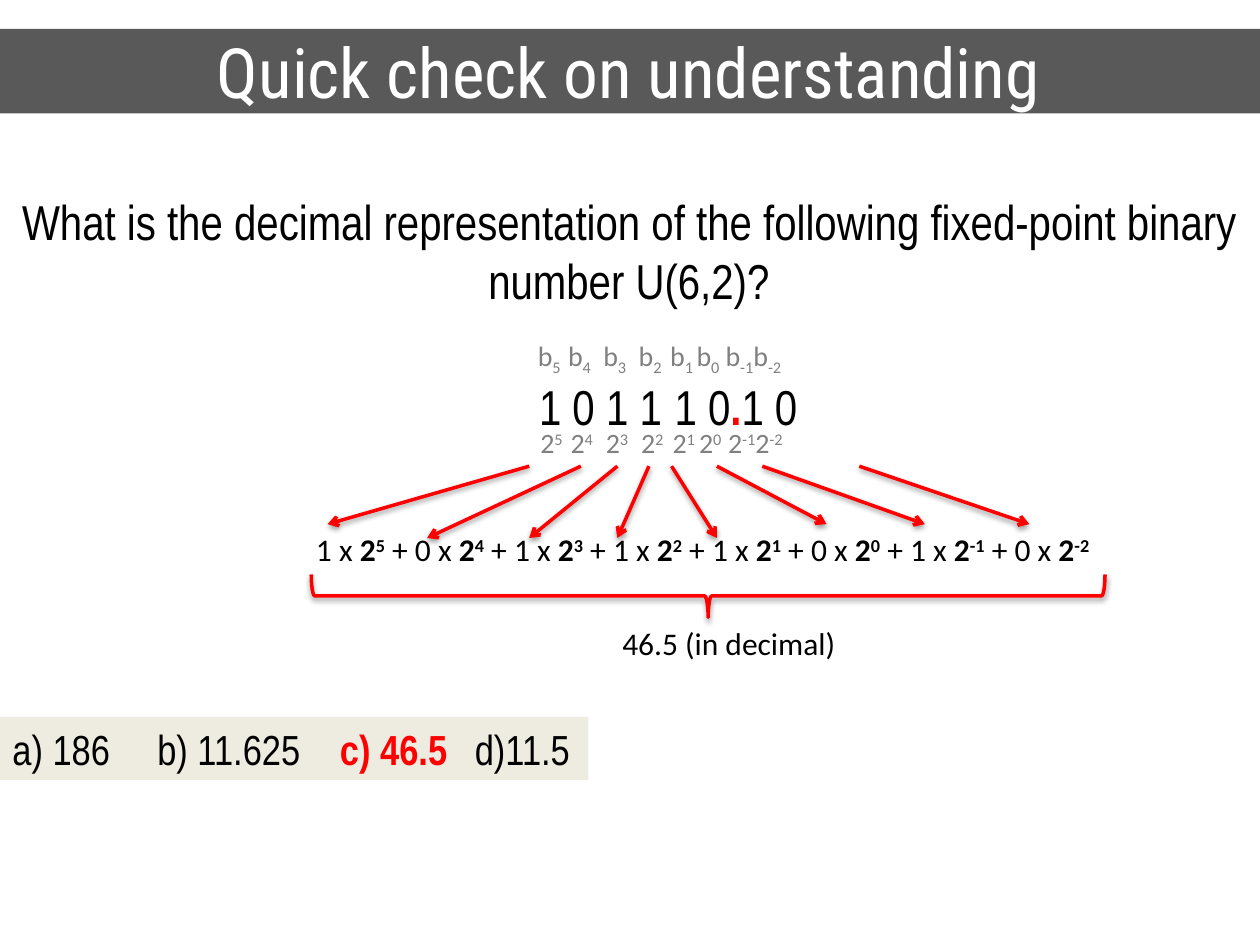
import pptx
import pptx.util
import pptx.dml.color
import pptx.enum.shapes
import pptx.enum.text
from dataclasses import dataclass
from lxml import etree
from pptx.oxml.ns import qn
from pptx.util import Inches

ALIGN = pptx.enum.text.PP_ALIGN


@dataclass(frozen=True)
class Theme:
    bar: str = "595959"
    panel: str = "EEECE1"
    white: str = "FFFFFF"
    ink: str = "000000"
    muted: str = "808080"
    accent: str = "FF0000"
    title_font: str = "Roboto Condensed"
    question_font: str = "Arial Narrow"
    working_font: str = "Calibri"
    title_size: float = 39.6
    gap_size: float = 32
    question_size: float = 28
    answer_size: float = 24
    working_size: float = 18
    label_size: float = 16
    line_width: float = 2


THEME = Theme()
EXPONENTS = range(5, -3, -1)
BITS = "10111010"
LABEL_TABS = (0.24, 0.52, 0.80, 1.05, 1.26, 1.49)
ANSWER_TABS = (1.15, 2.60, 3.67)


def rgb(value):
    return pptx.dml.color.RGBColor.from_string(value)


def add_run(paragraph, text, font, size, color, bold=False, baseline=0):
    run = paragraph.add_run()
    run.text = text
    run.font.name = font
    run.font.size = pptx.util.Pt(size)
    run.font.color.rgb = rgb(color)
    run.font.bold = bold
    if baseline:
        run.font._element.set("baseline", str(baseline * 1000))


def add_text_box(slide, box, wrap=True):
    text_box = slide.shapes.add_textbox(*map(Inches, box))
    text_box.text_frame.word_wrap = wrap
    return text_box.text_frame.paragraphs[0]


def add_panel(slide, box, fill):
    panel = slide.shapes.add_shape(
        pptx.enum.shapes.MSO_SHAPE.RECTANGLE, *map(Inches, box))
    panel.shadow.inherit = False
    panel.fill.solid()
    panel.fill.fore_color.rgb = rgb(fill)
    panel.line.fill.background()
    panel.text_frame.vertical_anchor = pptx.enum.text.MSO_ANCHOR.MIDDLE
    return panel.text_frame.paragraphs[0]


def set_tabs(paragraph, positions):
    properties = paragraph._p.get_or_add_pPr()
    tab_list = etree.SubElement(properties, qn("a:tabLst"))
    for position in positions:
        etree.SubElement(tab_list, qn("a:tab"), pos=str(Inches(position)), algn="l")


def style_red_line(shape):
    """Red stroke with a soft shadow below it."""
    shape.line.color.rgb = rgb(THEME.accent)
    shape.line.width = pptx.util.Pt(THEME.line_width)
    effects = etree.SubElement(shape._element.spPr, qn("a:effectLst"))
    shadow = etree.SubElement(effects, qn("a:outerShdw"), blurRad="40000",
                              dist="20000", dir="5400000", rotWithShape="0")
    color = etree.SubElement(shadow, qn("a:srgbClr"), val=THEME.ink)
    etree.SubElement(color, qn("a:alpha"), val="38000")


def add_title(slide, box):
    paragraph = add_panel(slide, box, THEME.bar)
    paragraph.alignment = ALIGN.CENTER
    add_run(paragraph, "Quick check on understanding",
            THEME.title_font, THEME.title_size, THEME.white)


def add_question(slide, box):
    paragraph = add_text_box(slide, box)
    paragraph.alignment = ALIGN.CENTER
    add_run(paragraph, "What is the decimal representation of the following "
            "fixed-point binary number U(6,2)?",
            THEME.question_font, THEME.question_size, THEME.ink)


def add_bit_labels(slide, box, symbol, baseline):
    """One symbol per bit, with its position as subscript or superscript."""
    paragraph = add_text_box(slide, box)
    set_tabs(paragraph, LABEL_TABS)
    for index, exponent in enumerate(EXPONENTS):
        tab = "\t" if 0 < index <= len(LABEL_TABS) else ""
        style = (THEME.working_font, THEME.label_size, THEME.muted)
        add_run(paragraph, tab + symbol, *style)
        add_run(paragraph, str(exponent), *style, baseline=baseline)


def add_binary_number(slide, box):
    left, top, width, height = box
    add_bit_labels(slide, (left, top, width, 0.37), "b", -25)
    paragraph = add_text_box(slide, (left + 0.01, top + 0.24, width, 0.64), wrap=False)
    font, size = THEME.question_font, THEME.question_size
    add_run(paragraph, "1 0 1 1", font, size, THEME.ink)
    add_run(paragraph, " ", font, THEME.gap_size, THEME.accent, bold=True)
    add_run(paragraph, "1 0", font, size, THEME.ink)
    add_run(paragraph, ".", font, size, THEME.accent, bold=True)
    add_run(paragraph, "1 0", font, size, THEME.ink)
    add_bit_labels(slide, (left + 0.02, top + height - 0.37, width, 0.37), "2", 30)


def add_expansion(slide, box):
    """Sum of each bit times its power of two."""
    paragraph = add_text_box(slide, box, wrap=False)
    style = (THEME.working_font, THEME.working_size, THEME.ink)
    for index, (bit, exponent) in enumerate(zip(BITS, EXPONENTS)):
        add_run(paragraph, f"{' + ' if index else ''}{bit} x ", *style)
        add_run(paragraph, "2", *style, bold=True)
        add_run(paragraph, str(exponent), *style, bold=True, baseline=30)


def add_arrows(slide, box):
    """Arrows from the bits to their terms; offsets are from the box corner."""
    left, top, _, height = box
    short = height - 0.11
    arrows = ((1.60, 0, short), (2.01, 0.79, height), (2.30, 1.60, height),
              (2.55, 2.30, height), (2.73, 3.09, height), (3.09, 3.96, short),
              (3.45, 4.74, short), (4.22, 5.57, short))
    for start, end, drop in arrows:
        arrow = slide.shapes.add_connector(
            pptx.enum.shapes.MSO_CONNECTOR.STRAIGHT,
            Inches(left + start), Inches(top), Inches(left + end), Inches(top + drop))
        style_red_line(arrow)
        etree.SubElement(arrow.line._get_or_add_ln(), qn("a:tailEnd"), type="arrow")


def add_result(slide, box):
    """Brace under the sum and the value below it."""
    left, top, width, height = box
    depth = 0.34
    # The brace is turned a quarter, so its own box is tall and narrow
    brace = slide.shapes.add_shape(
        pptx.enum.shapes.MSO_SHAPE.RIGHT_BRACE,
        Inches(left + (width - depth) / 2), Inches(top + (depth - width) / 2),
        Inches(depth), Inches(width))
    brace.rotation = 90
    brace.fill.background()
    style_red_line(brace)
    paragraph = add_text_box(slide, (left + 2.37, top + height - 0.4, 1.91, 0.4), wrap=False)
    add_run(paragraph, "46.5 (in decimal)",
            THEME.working_font, THEME.working_size, THEME.ink)


def add_answers(slide, box):
    paragraph = add_panel(slide, box, THEME.panel)
    paragraph.alignment = ALIGN.LEFT
    set_tabs(paragraph, ANSWER_TABS)
    style = (THEME.question_font, THEME.answer_size)
    add_run(paragraph, "a) 186\tb) 11.625\t", *style, THEME.ink)
    add_run(paragraph, "c) 46.5\t", *style, THEME.accent, bold=True)
    add_run(paragraph, "d)11.5", *style, THEME.ink)


def main():
    presentation = pptx.Presentation()
    presentation.slide_width = Inches(10)
    presentation.slide_height = Inches(7.5)
    slide = presentation.slides.add_slide(presentation.slide_layouts[6])
    add_title(slide, (-0.02, 0.23, 10.02, 0.67))
    add_binary_number(slide, (4.17, 2.64, 2.27, 1.06))
    add_expansion(slide, (2.41, 4.16, 6.6, 0.4))
    add_arrows(slide, (2.6, 3.7, 5.57, 0.57))
    add_result(slide, (2.47, 4.56, 6.3, 0.74))
    add_question(slide, (-0.02, 1.47, 10.02, 1.04))
    add_answers(slide, (0, 5.69, 4.67, 0.5))
    presentation.save("out.pptx")


if __name__ == "__main__":
    main()
